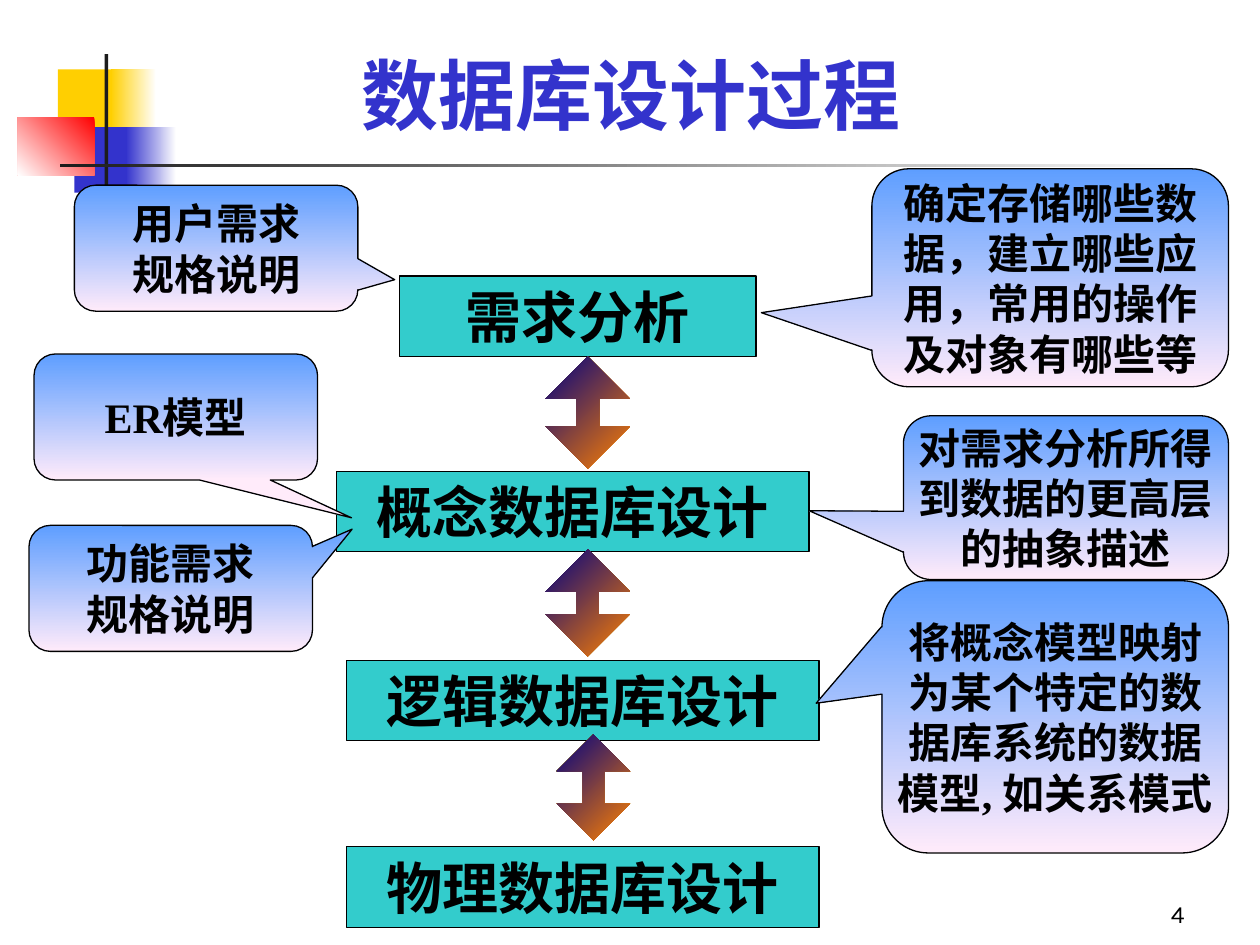
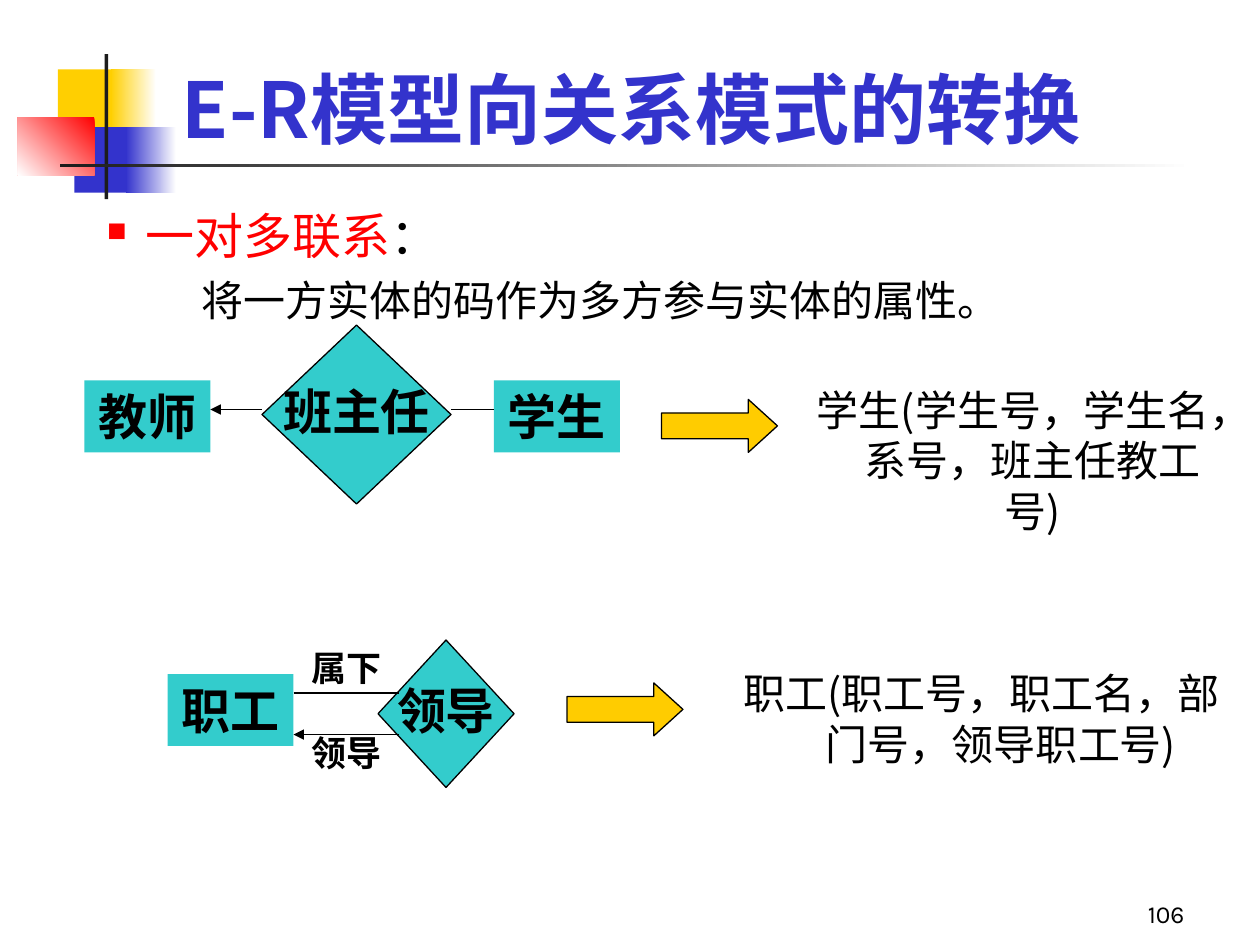
"""Build two slides on database design and on turning E-R models into relations."""
import pptx
import pptx.dml.color
import pptx.enum.shapes
import pptx.enum.text
import pptx.oxml.ns
import pptx.util
from lxml import etree

Inches = pptx.util.Inches
Pt = pptx.util.Pt
KIND = pptx.enum.shapes.MSO_SHAPE
ALIGN = pptx.enum.text.PP_ALIGN
ANCHOR = pptx.enum.text.MSO_ANCHOR
qn = pptx.oxml.ns.qn

BLACK, BLUE, RED, GOLD, TEAL = "000000", "3333CC", "FF0000", "FFCF01", "33CCCC"
DARK, WHITE, AMBER = "1C1C1C", "FFFFFF", "FFCC00"
SKY = ("5E9EFF", "FFEBFA", 90)
FLAME = ("FF8200", "000082", 225)
SERIF, SANS, HAN, KANJI = "Times New Roman", "Karla", "Noto Sans CJK SC", "Noto Sans CJK JP"


def color(code):
    return pptx.dml.color.RGBColor.from_string(code)


class Deck:
    """Hold the shared style and the current slide."""

    def __init__(self):
        self.show = pptx.Presentation()
        self.show.slide_width, self.show.slide_height = Inches(10), Inches(7.5)

    def start(self, title, top, height, font, number):
        self.slide = self.show.slides.add_slide(self.show.slide_layouts[5])
        self.motif()
        head = self.slide.shapes.title
        head.left, head.top = Inches(0.75), Inches(top)
        head.width, head.height = Inches(8.52), Inches(height)
        self.letter(head, title, 44, font, BLUE, True, anchor=ANCHOR.BOTTOM)
        self.label(7.42, 6.92, 2.08, 0.5, str(number), 14, SANS,
                   align=ALIGN.RIGHT, anchor=ANCHOR.BOTTOM)

    def motif(self):
        for x, y, w, h, fill in (
            (0.46, 0.55, 0.48, 0.52, GOLD),
            (0.88, 0.55, 0.36, 0.52, (WHITE, GOLD, 180)),
            (0.59, 1.01, 0.46, 0.52, BLUE),
            (1, 1.01, 0.4, 0.52, (WHITE, BLUE, 180)),
            (0.14, 0.93, 0.61, 0.46, (RED, WHITE, 135)),
            (0.83, 0.43, 0.03, 1.15, DARK),
            (0.48, 1.3, 9, 0.03, (WHITE, DARK, 180)),
        ):
            self.shape(KIND.RECTANGLE, x, y, w, h, fill)

    def style(self, run, size, font, tint, bold=False):
        run.font.size, run.font.name, run.font.bold = Pt(size), font, bold
        run.font.color.rgb = color(tint)
        east = etree.SubElement(run._r.get_or_add_rPr(), qn("a:ea"))
        east.set("typeface", KANJI if font == KANJI else HAN)

    def letter(self, box, text, size, font, tint=BLACK, bold=False,
               align=ALIGN.CENTER, anchor=ANCHOR.MIDDLE, wrap=True):
        frame = box.text_frame
        frame.text = text
        frame.word_wrap, frame.vertical_anchor = wrap, anchor
        frame.auto_size = pptx.enum.text.MSO_AUTO_SIZE.NONE
        for para in frame.paragraphs:
            para.alignment = align
            for run in para.runs:
                self.style(run, size, font, tint, bold)
        return frame

    def shape(self, kind, x, y, w, h, fill, line=None, turns=()):
        item = self.slide.shapes.add_shape(kind, Inches(x), Inches(y), Inches(w), Inches(h))
        item.shadow.inherit = False
        for i, turn in enumerate(turns):
            item.adjustments[i] = turn
        if isinstance(fill, tuple):
            item.fill.gradient()
            item.fill.gradient_angle = 360 - fill[2]
            for stop, code in zip(item.fill.gradient_stops, fill):
                stop.color.rgb = color(code)
        else:
            item.fill.solid()
            item.fill.fore_color.rgb = color(fill)
        if line:
            item.line.color.rgb, item.line.width = color(line), Pt(0.75)
        else:
            item.line.fill.background()
        return item

    def label(self, x, y, w, h, text, size, font, **more):
        box = self.slide.shapes.add_textbox(Inches(x), Inches(y), Inches(w), Inches(h))
        return self.letter(box, text, size, font, **more)

    def step(self, x, y, w, text):
        box = self.shape(KIND.RECTANGLE, x, y, w, 0.64, TEAL, BLACK)
        self.letter(box, text, 32, SERIF, bold=True)

    def callout(self, x, y, w, h, tip, text, tight=False):
        box = self.shape(KIND.ROUNDED_RECTANGULAR_CALLOUT, x, y, w, h, SKY, BLACK, (*tip, 0.17))
        frame = self.letter(box, text, 24, SERIF, bold=True)
        if tight:
            frame.margin_left = frame.margin_right = 0
            frame.margin_top = frame.margin_bottom = 0

    def entity(self, x, y, text):
        box = self.shape(KIND.RECTANGLE, x, y, 1, 0.57, TEAL)
        self.letter(box, text, 28, SERIF, bold=True)

    def diamond(self, x, y, w, h, text):
        box = self.shape(KIND.DIAMOND, x, y, w, h, TEAL, BLACK)
        frame = self.letter(box, text, 28, SERIF, bold=True, wrap=False)
        frame.paragraphs[0].line_spacing = 0.9

    def link(self, start, end, y, arrow=False):
        line = self.slide.shapes.add_connector(
            pptx.enum.shapes.MSO_CONNECTOR.STRAIGHT,
            Inches(start), Inches(y), Inches(end), Inches(y))
        line.line.color.rgb, line.line.width = color(BLACK), Pt(0.75)
        props = line._element.spPr
        if arrow:
            etree.SubElement(props.find(qn("a:ln")), qn("a:headEnd")).set("type", "triangle")
        etree.SubElement(props, qn("a:effectLst"))

    def result(self, x, y, left, top, width, text):
        self.shape(KIND.RIGHT_ARROW, x, y, 0.92, 0.42, AMBER, BLACK, (0.49, 0.55))
        frame = self.label(left, top, width, 0.92, text, 24, KANJI, anchor=ANCHOR.TOP)
        self.indent(frame.paragraphs[0], 0.81, -0.31)

    def indent(self, para, left, first=0):
        props = para._p.get_or_add_pPr()
        props.set("marL", str(Inches(left)))
        props.set("indent", str(Inches(first)))
        return props

    def points(self, lead, text):
        frame = self.label(0.25, 1.58, 9.54, 1.15, lead + "\n" + text, 24, SANS,
                           align=ALIGN.LEFT, anchor=ANCHOR.TOP)
        top, sub = frame.paragraphs
        props = self.indent(top, 0.81, -0.31)
        tint = etree.SubElement(props, qn("a:buClr"))
        etree.SubElement(tint, qn("a:srgbClr")).set("val", RED)
        etree.SubElement(props, qn("a:buSzPct")).set("val", "55000")
        etree.SubElement(props, qn("a:buChar")).set("char", "■")
        top.runs[0].font.size = Pt(28)
        top.runs[0].font.color.rgb = color(RED)
        colon = top.add_run()
        colon.text = "："
        self.style(colon, 28, SANS, BLACK)
        self.indent(sub, 1.25)
        sub.space_before = Pt(6)


def process(deck):
    deck.start("数据库设计过程", 0.33, 0.83, SANS, 4)
    for x, y, w, text in (
        (3.17, 2.19, 2.83, "需求分析"),
        (2.67, 3.74, 3.75, "概念数据库设计"),
        (2.75, 5.24, 3.75, "逻辑数据库设计"),
        (2.75, 6.72, 3.75, "物理数据库设计"),
    ):
        deck.step(x, y, w, text)
    for x, y, w, h, head in (
        (4.33, 2.83, 0.67, 0.89, 0.27),
        (4.33, 4.36, 0.67, 0.85, 0.26),
        (4.42, 5.83, 0.58, 0.84, 0.29),
    ):
        deck.shape(KIND.UP_DOWN_ARROW, x, y, w, h, FLAME, turns=(0.32, head))
    for x, y, w, h, tip, text in (
        (6.92, 1.34, 2.83, 1.73, (-0.81, 0.16), "确定存储哪些数据，建立哪些应用，常用的操作及对象有哪些等"),
        (7.17, 3.3, 2.58, 1.3, (-0.79, 0.08), "对需求分析所得到数据的更高层的抽象描述"),
        (7, 4.61, 2.75, 2.16, (-0.69, -0.05), "将概念模型映射为某个特定的数据库系统的数据模型, 如关系模式"),
    ):
        deck.callout(x, y, w, h, tip, text, tight=True)
    for x, y, tip, text in (
        (0.27, 2.81, (0.62, 0.8), "ER模型"),
        (0.23, 4.17, (0.64, -0.47), "功能需求\n规格说明"),
        (0.59, 1.47, (0.63, 0.25), "用户需求\n规格说明"),
    ):
        deck.callout(x, y, 2.25, 1, tip, text)


def convert(deck):
    deck.start("E-R模型向关系模式的转换", 0.25, 1.02, HAN, 106)
    deck.points("一对多联系", "将一方实体的码作为多方参与实体的属性。")
    deck.entity(0.67, 3.02, "教师")
    deck.entity(3.92, 3.02, "学生")
    deck.link(1.67, 2.08, 3.25, arrow=True)
    deck.link(3.58, 3.92, 3.25)
    deck.diamond(2.08, 2.58, 1.5, 1.42, "班主任")
    deck.result(5.25, 3.17, 5.75, 3, 4.08, "学生(学生号，学生名，系号，班主任教工号)")
    deck.entity(1.33, 5.35, "职工")
    deck.diamond(3, 5.08, 1.08, 1.17, "领导")
    deck.link(2.33, 3.17, 5.5)
    deck.link(2.33, 3.17, 5.83, arrow=True)
    for y, text in ((5.08, "属下"), (5.75, "领导")):
        deck.label(2.25, y, 1, 0.44, text, 20, SERIF, bold=True)
    deck.result(4.5, 5.42, 5.25, 5.25, 4.58, "职工(职工号，职工名，部门号，领导职工号)")


def main():
    deck = Deck()
    process(deck)
    convert(deck)
    deck.show.save("out.pptx")


if __name__ == "__main__":
    main()
